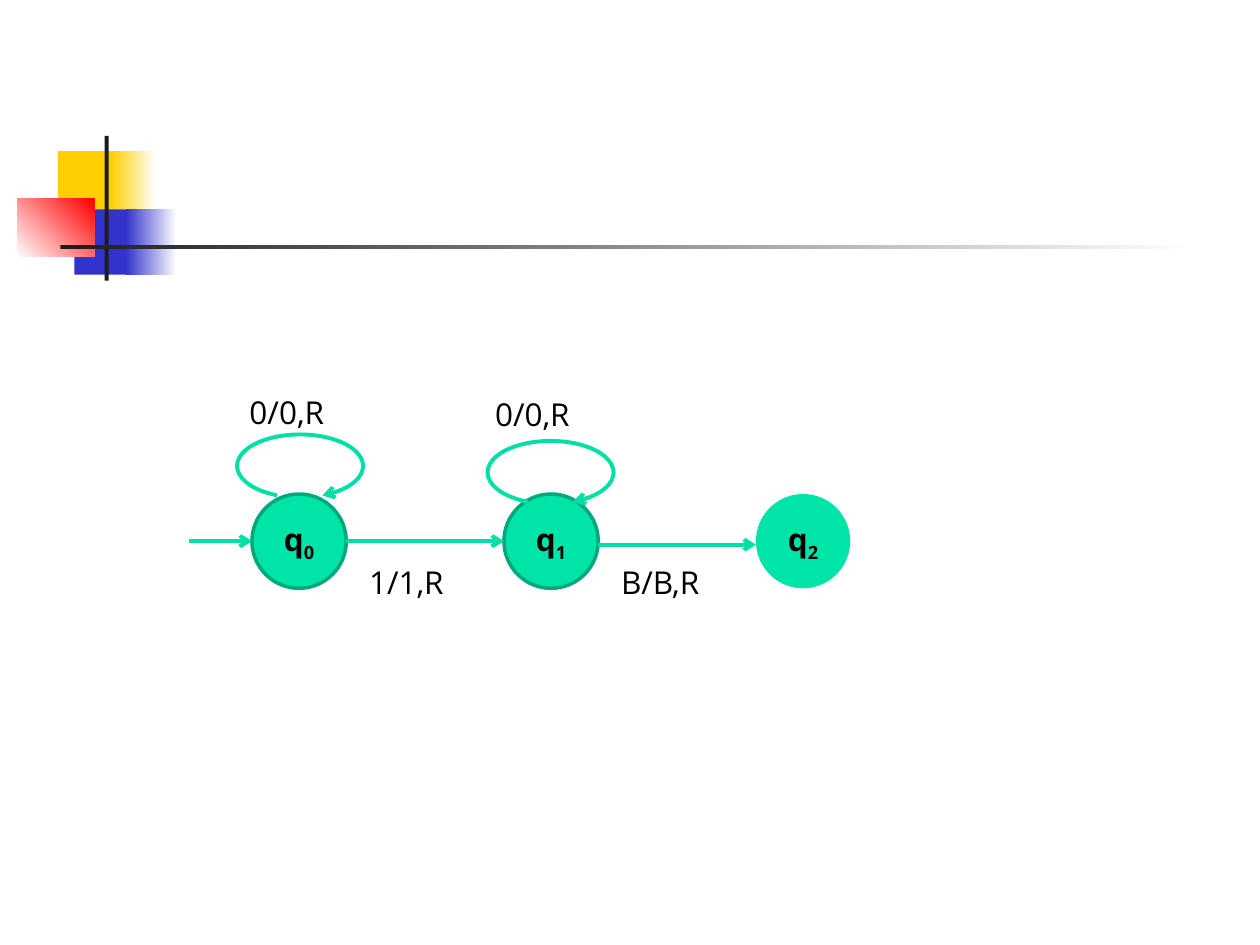
from typing import NamedTuple, Optional

from lxml import etree
from pptx import Presentation
from pptx.dml.color import RGBColor
from pptx.enum import shapes, text
from pptx.oxml import ns
from pptx.util import Cm, Pt

YELLOW = RGBColor(0xFF, 0xCF, 0x01)
BLUE = RGBColor(0x33, 0x33, 0xCC)
RED = RGBColor(0xFF, 0x00, 0x00)
CHARCOAL = RGBColor(0x1C, 0x1C, 0x1C)
WHITE = RGBColor(0xFF, 0xFF, 0xFF)
BLACK = RGBColor(0x00, 0x00, 0x00)
STATE_FILL = RGBColor(0x00, 0xE4, 0xA8)
STATE_EDGE = RGBColor(0x00, 0xA9, 0x7C)
ARROW = RGBColor(0x00, 0xDF, 0xA4)

FONT = "Open Sans"
STATE_SIZE = 1.9
STATE_TOP = 9.96
STATE_PITCH = 5.08
FIRST_STATE = 5.08
AXIS = 10.91
LABEL_WIDTH, LABEL_HEIGHT = 2.74, 1.02


class Block(NamedTuple):
    left: float
    top: float
    width: float
    height: float
    start: RGBColor
    end: Optional[RGBColor] = None
    angle: float = 0


class State(NamedTuple):
    index: str
    edge: Optional[RGBColor]


class Transition(NamedTuple):
    start: float
    end: float
    height: float


class Loop(NamedTuple):
    left: float
    top: float


class Label(NamedTuple):
    wording: str
    left: float
    top: float


BLOCKS = [
    Block(1.17, 3.05, 1.22, 1.32, YELLOW),
    Block(2.24, 3.05, 0.91, 1.32, YELLOW, WHITE),
    Block(1.5, 4.22, 1.17, 1.32, BLUE),
    Block(2.54, 4.22, 1.02, 1.32, BLUE, WHITE),
    Block(0.35, 4.01, 1.55, 1.17, WHITE, RED, 45),
    Block(2.11, 2.74, 0.08, 2.92, CHARCOAL),
    Block(1.22, 4.94, 22.86, 0.09, CHARCOAL, WHITE),
]
STATES = [State("0", STATE_EDGE), State("1", STATE_EDGE), State("2", None)]
STATE_LEFTS = [FIRST_STATE + STATE_PITCH * i for i in range(len(STATES))]
TRANSITIONS = [
    Transition(3.81, STATE_LEFTS[0], AXIS),
    Transition(STATE_LEFTS[0] + STATE_SIZE, STATE_LEFTS[1], AXIS),
    Transition(STATE_LEFTS[1] + STATE_SIZE, STATE_LEFTS[2], AXIS + 0.07),
]
LOOPS = [Loop(4.78, 8.76), Loop(9.83, 8.89)]
LABELS = [
    Label("0/0,R", 4.78, 7.8),
    Label("1/1,R", 7.19, 11.23),
    Label("0/0,R", 9.73, 7.83),
    Label("B/B,R", 12.27, 11.23),
]


def draw_block(slide, block: Block) -> None:
    rectangle = slide.shapes.add_shape(
        shapes.MSO_SHAPE.RECTANGLE,
        Cm(block.left), Cm(block.top), Cm(block.width), Cm(block.height),
    )
    rectangle.shadow.inherit = False
    rectangle.line.fill.background()
    if block.end is None:
        rectangle.fill.solid()
        rectangle.fill.fore_color.rgb = block.start
        return
    rectangle.fill.gradient()
    rectangle.fill.gradient_angle = block.angle
    for stop, colour in zip(rectangle.fill.gradient_stops, (block.start, block.end)):
        stop.color.rgb = colour


def style_run(run, bold: bool = False) -> None:
    run.font.name = FONT
    run.font.size = Pt(18)
    run.font.bold = bold
    run.font.color.rgb = BLACK


def style_arrow(stroke) -> None:
    stroke.line.color.rgb = ARROW
    stroke.line.width = Pt(2.25)
    outline = stroke.line._get_or_add_ln()
    etree.SubElement(outline, ns.qn("a:tailEnd"), type="arrow")


def draw_state(diagram, state: State, left: float) -> None:
    circle = diagram.shapes.add_shape(
        shapes.MSO_SHAPE.OVAL, Cm(left), Cm(STATE_TOP), Cm(STATE_SIZE), Cm(STATE_SIZE)
    )
    circle.shadow.inherit = False
    circle.fill.solid()
    circle.fill.fore_color.rgb = STATE_FILL
    if state.edge is None:
        circle.line.fill.background()
    else:
        circle.line.color.rgb = state.edge
        circle.line.width = Pt(2)
    frame = circle.text_frame
    frame.word_wrap = False
    frame.vertical_anchor = text.MSO_ANCHOR.MIDDLE
    name = frame.paragraphs[0]
    name.alignment = text.PP_ALIGN.CENTER
    name.text = "q"
    subscript = name.add_run()
    subscript.text = state.index
    for run in name.runs:
        style_run(run, bold=True)
    subscript._r.get_or_add_rPr().set("baseline", "-25000")


def draw_transition(diagram, transition: Transition) -> None:
    arrow = diagram.shapes.add_connector(
        shapes.MSO_CONNECTOR.STRAIGHT,
        Cm(transition.start), Cm(transition.height),
        Cm(transition.end), Cm(transition.height),
    )
    style_arrow(arrow)
    etree.SubElement(arrow._element.spPr, ns.qn("a:effectLst"))


def draw_loop(diagram, loop: Loop) -> None:
    arc = diagram.shapes.add_shape(
        shapes.MSO_SHAPE.ARC, Cm(loop.left), Cm(loop.top), Cm(2.54), Cm(1.27)
    )
    arc.shadow.inherit = False
    arc.adjustments[0] = 76.74
    arc.adjustments[1] = 31.64
    arc.fill.background()
    style_arrow(arc)


def draw_label(diagram, label: Label) -> None:
    caption = diagram.shapes.add_textbox(
        Cm(label.left), Cm(label.top), Cm(LABEL_WIDTH), Cm(LABEL_HEIGHT)
    )
    frame = caption.text_frame
    frame.text = label.wording
    frame.word_wrap = True
    frame.auto_size = text.MSO_AUTO_SIZE.SHAPE_TO_FIT_TEXT
    style_run(frame.paragraphs[0].runs[0])


def main() -> None:
    deck = Presentation()
    deck.slide_width, deck.slide_height = Cm(25.4), Cm(19.05)
    slide = deck.slides.add_slide(deck.slide_layouts[6])
    for block in BLOCKS:
        draw_block(slide, block)
    diagram = slide.shapes.add_group_shape()
    for state, left in zip(STATES, STATE_LEFTS):
        draw_state(diagram, state, left)
    for loop in LOOPS:
        draw_loop(diagram, loop)
    for transition in TRANSITIONS:
        draw_transition(diagram, transition)
    for label in LABELS:
        draw_label(diagram, label)
    deck.save("out.pptx")


if __name__ == "__main__":
    main()
